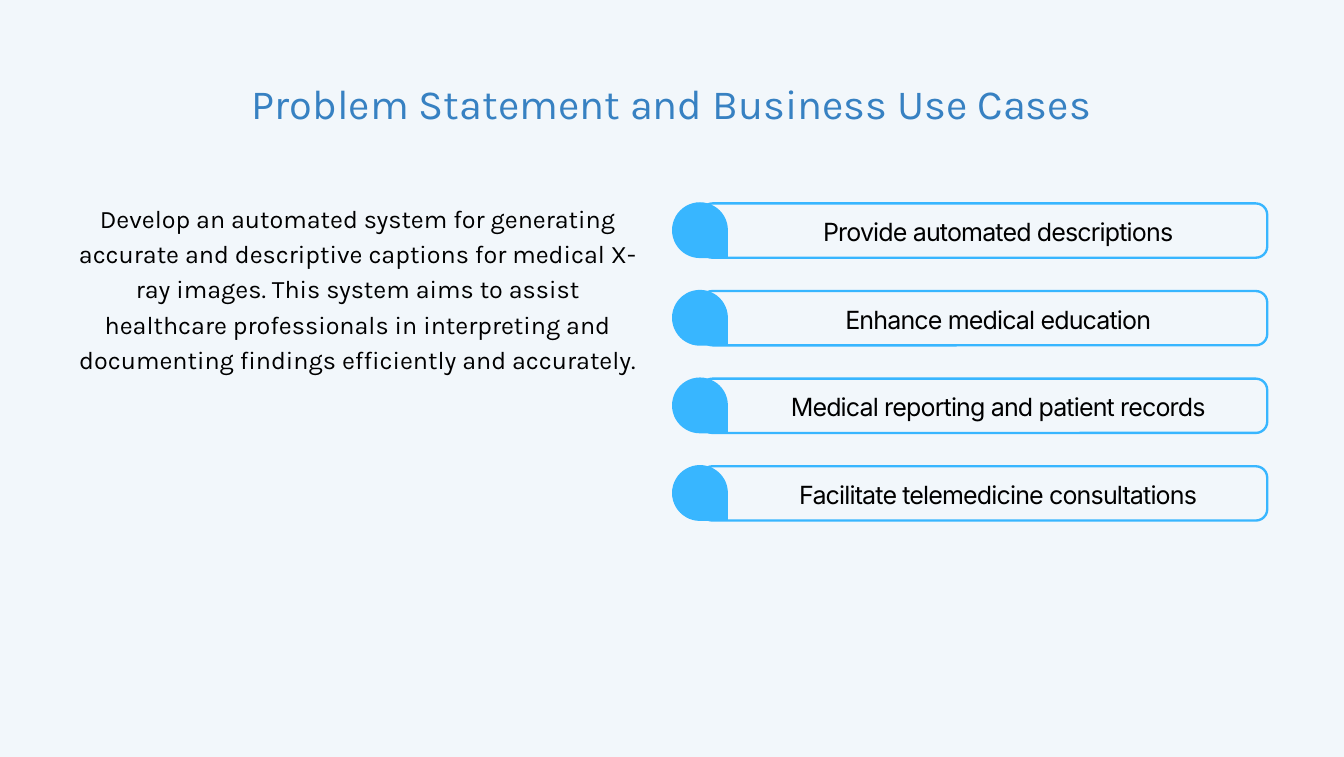
from pptx import Presentation
from pptx.dml.color import RGBColor
from pptx.enum.shapes import MSO_SHAPE
from pptx.enum.text import MSO_ANCHOR, PP_ALIGN
from pptx.util import Inches, Pt

TEARDROP = MSO_SHAPE.TEAR
ROUNDED = MSO_SHAPE.ROUNDED_RECTANGLE
CENTER = PP_ALIGN.CENTER
TOP = MSO_ANCHOR.TOP

COLORS = {"background": "F2F7FB", "title": "3781C2", "body": "000000", "accent": "38B6FF"}
USE_CASES = [
    "Provide automated descriptions",
    "Enhance medical education",
    "Medical reporting and patient records",
    "Facilitate telemedicine consultations",
]
PROBLEM = (
    "Develop an automated system for generating accurate and descriptive captions "
    "for medical X-ray images. This system aims to assist healthcare professionals "
    "in interpreting and documenting findings efficiently and accurately."
)


def color(name):
    return RGBColor.from_string(COLORS[name])


def add_text(slide, box, text, font, size, leading, tint, spacing=0):
    """Centred text in a box (left, top, width, height) without margins."""
    frame = slide.shapes.add_textbox(*map(Inches, box)).text_frame
    frame.word_wrap = True
    frame.vertical_anchor = TOP
    frame.margin_left = frame.margin_right = frame.margin_top = frame.margin_bottom = 0
    paragraph = frame.paragraphs[0]
    paragraph.alignment = CENTER
    paragraph.line_spacing = Pt(leading)
    run = paragraph.add_run()
    run.text = text
    run.font.name = font
    run.font.size = Pt(size)
    run.font.color.rgb = color(tint)
    if spacing:
        run.font._element.set("spc", str(round(spacing * 100)))


def add_use_case(slide, box, label):
    """Outlined bar with a drop over its left end and a centred label."""
    left, top, width, height = box
    drop_size = 0.71
    bar_left = left + drop_size / 2
    stroke = 0.03

    # Bar, with its stroke kept inside the box
    bar = slide.shapes.add_shape(
        ROUNDED,
        Inches(bar_left + stroke / 2), Inches(top + stroke / 2),
        Inches(left + width - bar_left - stroke), Inches(height - stroke),
    )
    bar.adjustments[0] = 0.21
    bar.shadow.inherit = False
    bar.fill.background()
    bar.line.color.rgb = color("accent")
    bar.line.width = Inches(stroke)

    # Drop, with its point turned to the bottom right
    drop = slide.shapes.add_shape(
        TEARDROP, Inches(left), Inches(top), Inches(drop_size), Inches(drop_size)
    )
    drop.rotation = 90
    drop.shadow.inherit = False
    drop.fill.solid()
    drop.fill.fore_color.rgb = color("accent")
    drop.line.fill.background()

    # Label
    label_box = (left + drop_size, top + 0.12, width - drop_size, 0.43)
    add_text(slide, label_box, label, "Inter", 22.9, 32, "body", -0.8)


def add_use_cases(slide, box):
    """Equally spaced bars from the top to the bottom of the box."""
    left, top, width, height = box
    bar_height = 0.72
    pitch = (height - bar_height) / (len(USE_CASES) - 1)
    for row, label in enumerate(USE_CASES):
        add_use_case(slide, (left, top + row * pitch, width, bar_height), label)


def main():
    prs = Presentation()
    prs.slide_width = Inches(17.08)
    prs.slide_height = Inches(9.62)
    slide = prs.slides.add_slide(prs.slide_layouts[6])
    slide.background.fill.solid()
    slide.background.fill.fore_color.rgb = color("background")

    # Title and problem statement
    add_text(slide, (0.96, 0.88, 15.16, 1.44),
             "Problem Statement and Business Use Cases", "Karla", 38, 53.2, "title")
    add_text(slide, (0.96, 2.52, 7.18, 2.61), PROBLEM, "Karla", 23, 32.2, "body")

    # Business use cases
    add_use_cases(slide, (8.54, 2.57, 7.58, 4.06))

    prs.save("out.pptx")


if __name__ == "__main__":
    main()
